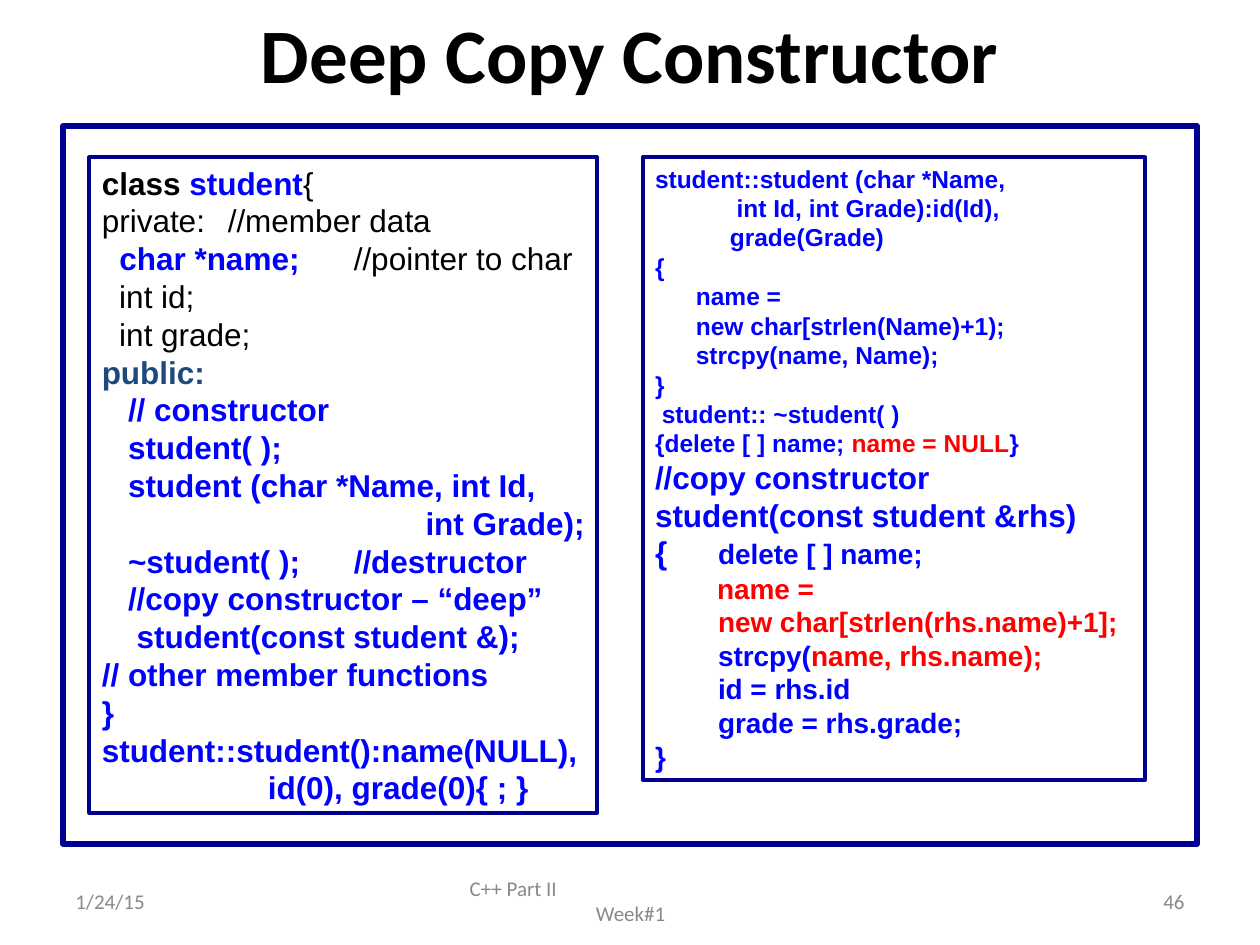
from lxml import etree
from pptx import Presentation
from pptx.dml.color import RGBColor
from pptx.enum.shapes import MSO_SHAPE
from pptx.enum.text import MSO_ANCHOR, MSO_AUTO_SIZE, PP_ALIGN
from pptx.oxml.ns import qn
from pptx.util import Inches, Pt

RECT = MSO_SHAPE.RECTANGLE
TOP, MIDDLE = MSO_ANCHOR.TOP, MSO_ANCHOR.MIDDLE
LEFT, CENTER, RIGHT = PP_ALIGN.LEFT, PP_ALIGN.CENTER, PP_ALIGN.RIGHT
GROW, FIXED = MSO_AUTO_SIZE.SHAPE_TO_FIT_TEXT, MSO_AUTO_SIZE.NONE

BLACK = RGBColor(0, 0, 0)
NAVY = RGBColor(0, 0, 0x90)
BLUE = RGBColor(0, 0, 0xFF)
RED = RGBColor(0xFF, 0, 0)
SLATE = RGBColor(0x1F, 0x49, 0x7D)
GRAY = RGBColor(0x89, 0x89, 0x89)

PLAIN = (18, BLACK, False)
DARK = (18, BLACK, True)
LABEL = (18, SLATE, True)
BIG = (18, BLUE, True)
MID = (16, BLUE, True)
MID_RED = (16, RED, True)
SMALL = (14, BLUE, True)
SMALL_RED = (14, RED, True)


def all_in(style, text):
    return [[(line, style)] for line in text.split("\n")]


HEADER = [
    [("class ", DARK), ("student", BIG), ("{", PLAIN)],
    [("private:\t//member data", PLAIN)],
    [("  ", PLAIN), ("char *name;\t", BIG), ("//pointer to char", PLAIN)],
    [("  int id;", PLAIN)],
    [("  int grade;", PLAIN)],
    [("public:", LABEL)],
] + all_in(BIG, """   // constructor
   student( );
   student (char *Name, int Id,
\t\t\t\t\t int Grade);
   ~student( );\t//destructor
   //copy constructor – “deep”
    student(const student &);
// other member functions
}
student::student():name(NULL),
                   id(0), grade(0){ ; }""")

BODY = all_in(SMALL, """student::student (char *Name,
            int Id, int Grade):id(Id),
           grade(Grade)
{
      name =
      new char[strlen(Name)+1);
      strcpy(name, Name);
}
 student:: ~student( )""") + [
    [("{delete [ ] name; ", SMALL), ("name = NULL", SMALL_RED), ("}", SMALL)],
    [("//copy constructor", BIG)],
    [("student(const student &rhs)", BIG)],
    [("{\t", BIG), ("delete [ ] name;", MID)],
    [("        ", MID), ("name =", MID_RED)],
    [("\tnew char[strlen(rhs.name)+1];", MID_RED)],
    [("\tstrcpy(", MID), ("name, rhs.name);", MID_RED)],
] + all_in(MID, "\tid = rhs.id\n\tgrade = rhs.grade;\n}")


def paint(run, face, size, color, bold):
    font = run.font
    font.name, font.size, font.bold = face, Pt(size), bold
    font.color.rgb = color


def add_tabs(para):
    tabs = etree.SubElement(para._p.get_or_add_pPr(), qn("a:tabLst"))
    for step in range(1, 8):
        etree.SubElement(tabs, qn("a:tab"), pos=str(Inches(step / 2)), algn="l")


def add_frame(slide, left, top, width, height, weight):
    shape = slide.shapes.add_shape(
        RECT, Inches(left), Inches(top), Inches(width), Inches(height))
    shape.shadow.inherit = False
    shape.fill.background()
    shape.line.color.rgb = NAVY
    shape.line.width = Pt(weight)
    return shape


def add_code(slide, left, width, height, lines, wrap):
    frame = add_frame(slide, left, 1.25, width, height, 2.25).text_frame
    frame.word_wrap = wrap
    frame.auto_size = GROW
    frame.vertical_anchor = TOP
    frame.text = "\n".join("" for line in lines)
    for para, line in zip(frame.paragraphs, lines):
        para.alignment = LEFT
        add_tabs(para)
        for text, style in line:
            run = para.add_run()
            run.text = text
            paint(run, "Arial", *style)


def add_note(slide, left, width, text, align):
    box = slide.shapes.add_textbox(
        Inches(left), Inches(6.95), Inches(width), Inches(0.4))
    frame = box.text_frame
    frame.word_wrap = True
    frame.auto_size = FIXED
    frame.vertical_anchor = MIDDLE
    frame.text = text
    for para in frame.paragraphs:
        para.alignment = align
        paint(para.runs[0], "Calibri", 12, GRAY, False)
    return frame.paragraphs[0]


def set_title(slide, text):
    title = slide.shapes.title
    title.left, title.top = Inches(0.5), Inches(0)
    title.width, title.height = Inches(9), Inches(0.83)
    frame = title.text_frame
    frame.text = text
    frame.vertical_anchor = MIDDLE
    frame.auto_size = FIXED
    para = frame.paragraphs[0]
    para.alignment = CENTER
    paint(para.runs[0], "Calibri", 44, BLACK, True)


def main():
    deck = Presentation()
    deck.slide_width, deck.slide_height = Inches(10), Inches(7.5)
    slide = deck.slides.add_slide(deck.slide_layouts[5])
    set_title(slide, "Deep Copy Constructor")
    add_frame(slide, 0.5, 1, 9, 5.7, 3)
    add_note(slide, 0.5, 2.33, "1/24/15", LEFT)
    course = add_note(slide, 3.42, 3.17, "C++ Part II\nWeek#1", CENTER)
    course.alignment = LEFT
    course._p.get_or_add_pPr().set("marL", str(Inches(0.21)))
    add_note(slide, 7.17, 2.33, "46", RIGHT)
    add_code(slide, 0.71, 4.03, 5.2, HEADER, False)
    add_code(slide, 5.1, 3.99, 4.94, BODY, True)
    deck.save("out.pptx")


if __name__ == "__main__":
    main()
